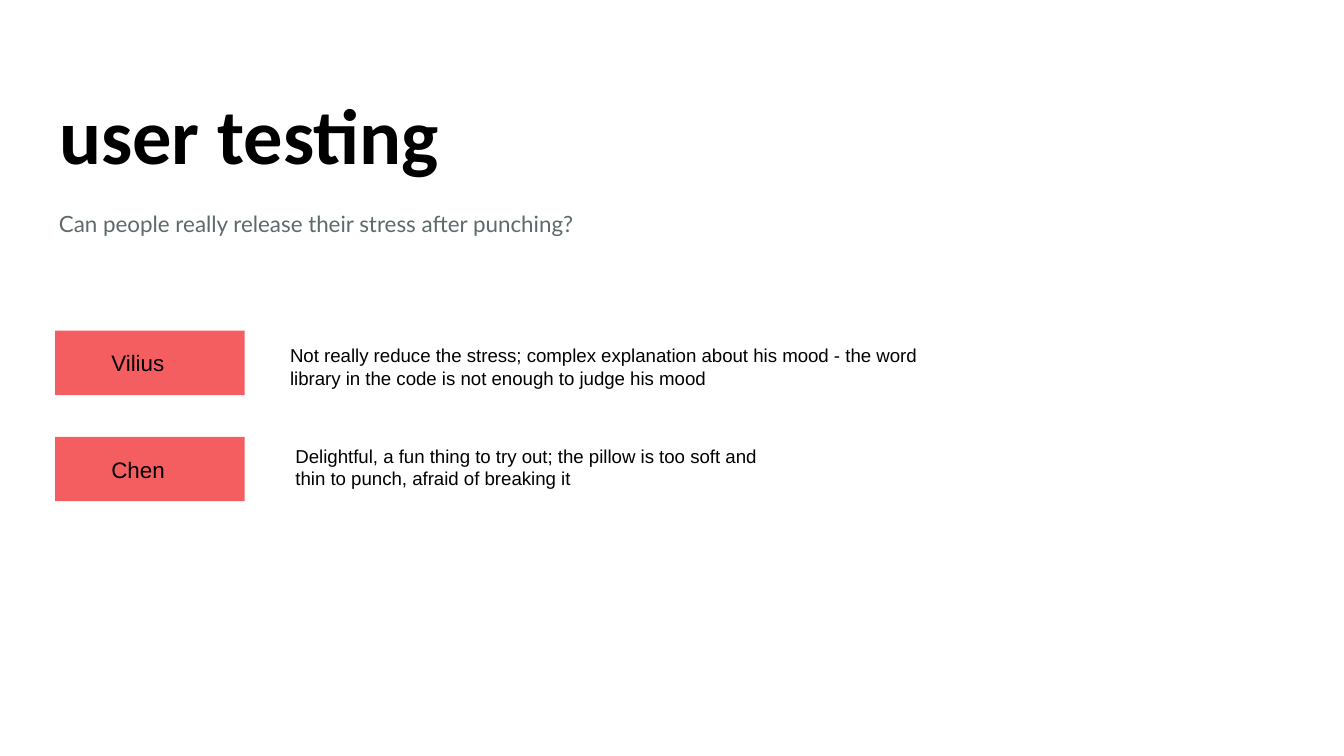
"""Build the user testing slide with one row of feedback per tester."""
from dataclasses import dataclass

from pptx import Presentation
from pptx.dml.color import RGBColor
from pptx.enum.shapes import MSO_SHAPE
from pptx.enum.text import MSO_ANCHOR, MSO_AUTO_SIZE, PP_ALIGN
from pptx.shapes.base import BaseShape
from pptx.slide import Slide
from pptx.util import Inches, Pt

BLACK = RGBColor(0x00, 0x00, 0x00)
GREY = RGBColor(0x5E, 0x69, 0x6C)
CORAL = RGBColor(0xF5, 0x5E, 0x61)
RECTANGLE = MSO_SHAPE.RECTANGLE
TOP, MIDDLE, BOTTOM = MSO_ANCHOR.TOP, MSO_ANCHOR.MIDDLE, MSO_ANCHOR.BOTTOM
LEFT = PP_ALIGN.LEFT
NO_AUTOFIT = MSO_AUTO_SIZE.NONE

TITLE_ONLY = 5
SLIDE_WIDTH = Inches(10)
SLIDE_HEIGHT = SLIDE_WIDTH * 9 // 16
INSET = Inches(0.1)
TAG_LEFT, TAG_WIDTH, TAG_HEIGHT = Inches(0.41), Inches(1.41), Inches(0.48)
NAME_LEFT, NAME_WIDTH = Inches(0.73), Inches(0.85)
COMMENT_HEIGHT = Inches(0.54)
FIRST_ROW, ROW_PITCH = Inches(2.46), Inches(0.79)


@dataclass(frozen=True)
class TextStyle:
    font: str
    size: float
    color: RGBColor = BLACK
    bold: bool = False
    anchor: MSO_ANCHOR = TOP


@dataclass(frozen=True)
class Feedback:
    tester: str
    comment: str
    left: float
    top: float
    width: float


TITLE = TextStyle("Calibri", 42, bold=True, anchor=BOTTOM)
QUESTION = TextStyle("Lato", 12, GREY)
TESTER = TextStyle("Arial", 12, anchor=MIDDLE)
COMMENT = TextStyle("Arial", 10)

FEEDBACK = (
    Feedback(
        "Vilius",
        "Not really reduce the stress; complex explanation about his mood - "
        "the word library in the code is not enough to judge his mood",
        2.06, 2.46, 4.94,
    ),
    Feedback(
        "Chen",
        "Delightful, a fun thing to try out; the pillow is too soft and thin "
        "to punch, afraid of breaking it",
        2.1, 3.21, 3.76,
    ),
)


def write(shape: BaseShape, text: str, style: TextStyle) -> None:
    """Fill a shape with one styled paragraph."""
    frame = shape.text_frame
    frame.text = text
    frame.word_wrap = True
    frame.auto_size = NO_AUTOFIT
    frame.vertical_anchor = style.anchor
    frame.margin_left = frame.margin_right = INSET
    frame.margin_top = frame.margin_bottom = INSET
    paragraph = frame.paragraphs[0]
    paragraph.alignment = LEFT
    font = paragraph.font
    font.name, font.size, font.bold = style.font, Pt(style.size), style.bold
    font.color.rgb = style.color


def add_heading(slide: Slide) -> None:
    """Place the title and the question below it."""
    title = slide.shapes.title
    title.left, title.top = Inches(0.34), Inches(0.61)
    title.width, title.height = Inches(3.89), Inches(0.83)
    write(title, "user testing", TITLE)

    question = slide.shapes.add_textbox(
        Inches(0.34), Inches(1.43), Inches(4.4), Inches(0.65)
    )
    write(question, "Can people really release their stress after punching?", QUESTION)
    paragraph = question.text_frame.paragraphs[0]
    paragraph.line_spacing = 1.15
    paragraph.space_after = Pt(16)


def add_tester(slide: Slide, name: str, top: int) -> None:
    """Group a coloured tag with the tester's name."""
    group = slide.shapes.add_group_shape()
    tag = group.shapes.add_shape(RECTANGLE, TAG_LEFT, top, TAG_WIDTH, TAG_HEIGHT)
    tag.shadow.inherit = False
    tag.fill.solid()
    tag.fill.fore_color.rgb = CORAL
    tag.line.fill.background()
    label = group.shapes.add_textbox(NAME_LEFT, top, NAME_WIDTH, TAG_HEIGHT)
    write(label, name, TESTER)


def add_comment(slide: Slide, feedback: Feedback) -> None:
    """Place what a tester said."""
    comment = slide.shapes.add_textbox(
        Inches(feedback.left), Inches(feedback.top),
        Inches(feedback.width), COMMENT_HEIGHT,
    )
    write(comment, feedback.comment, COMMENT)


def main() -> None:
    """Build and save the slide."""
    presentation = Presentation()
    presentation.slide_width = SLIDE_WIDTH
    presentation.slide_height = SLIDE_HEIGHT
    slide = presentation.slides.add_slide(presentation.slide_layouts[TITLE_ONLY])
    add_heading(slide)
    for row, feedback in enumerate(FEEDBACK):
        add_tester(slide, feedback.tester, FIRST_ROW + row * ROW_PITCH)
        add_comment(slide, feedback)
    presentation.save("out.pptx")


if __name__ == "__main__":
    main()
